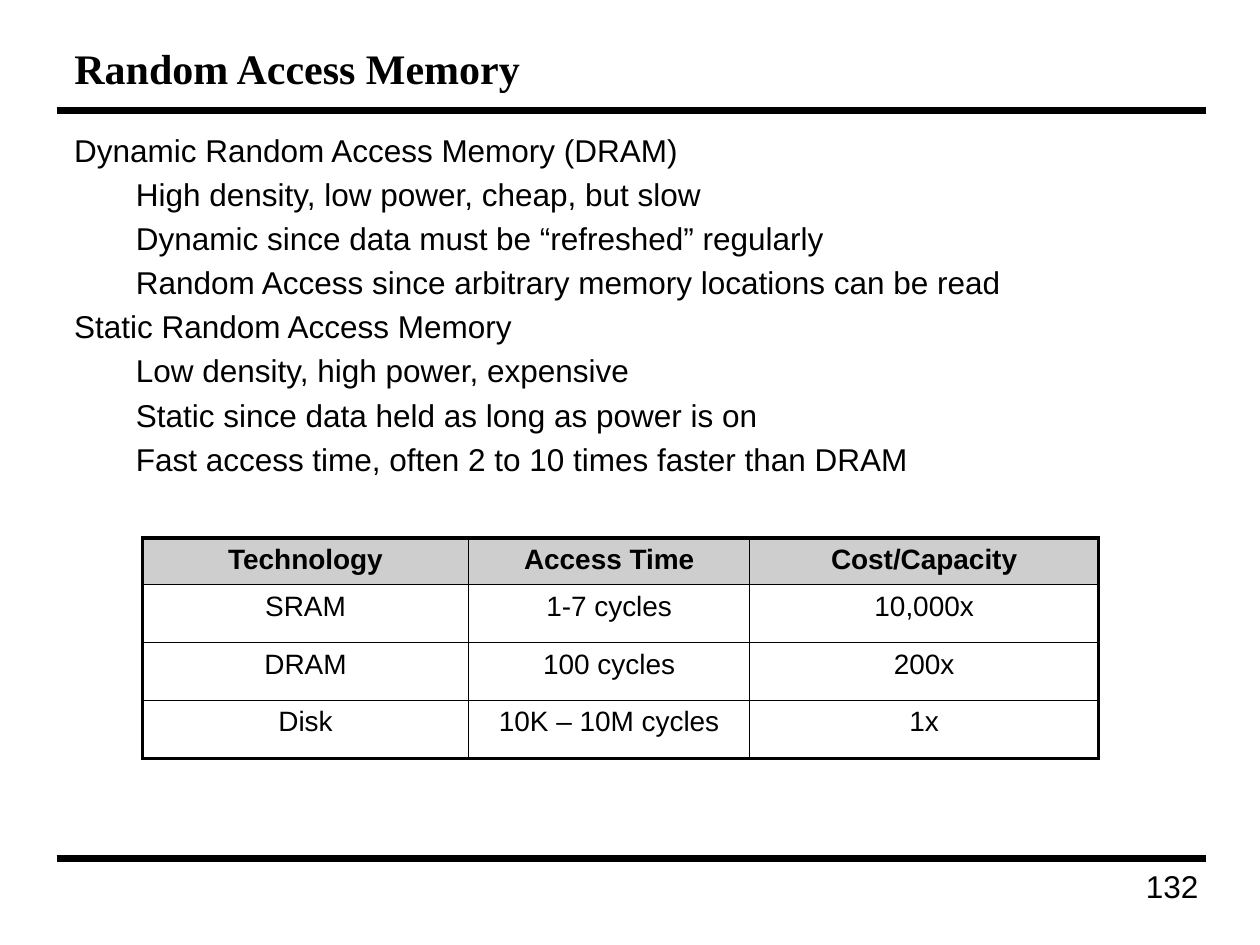
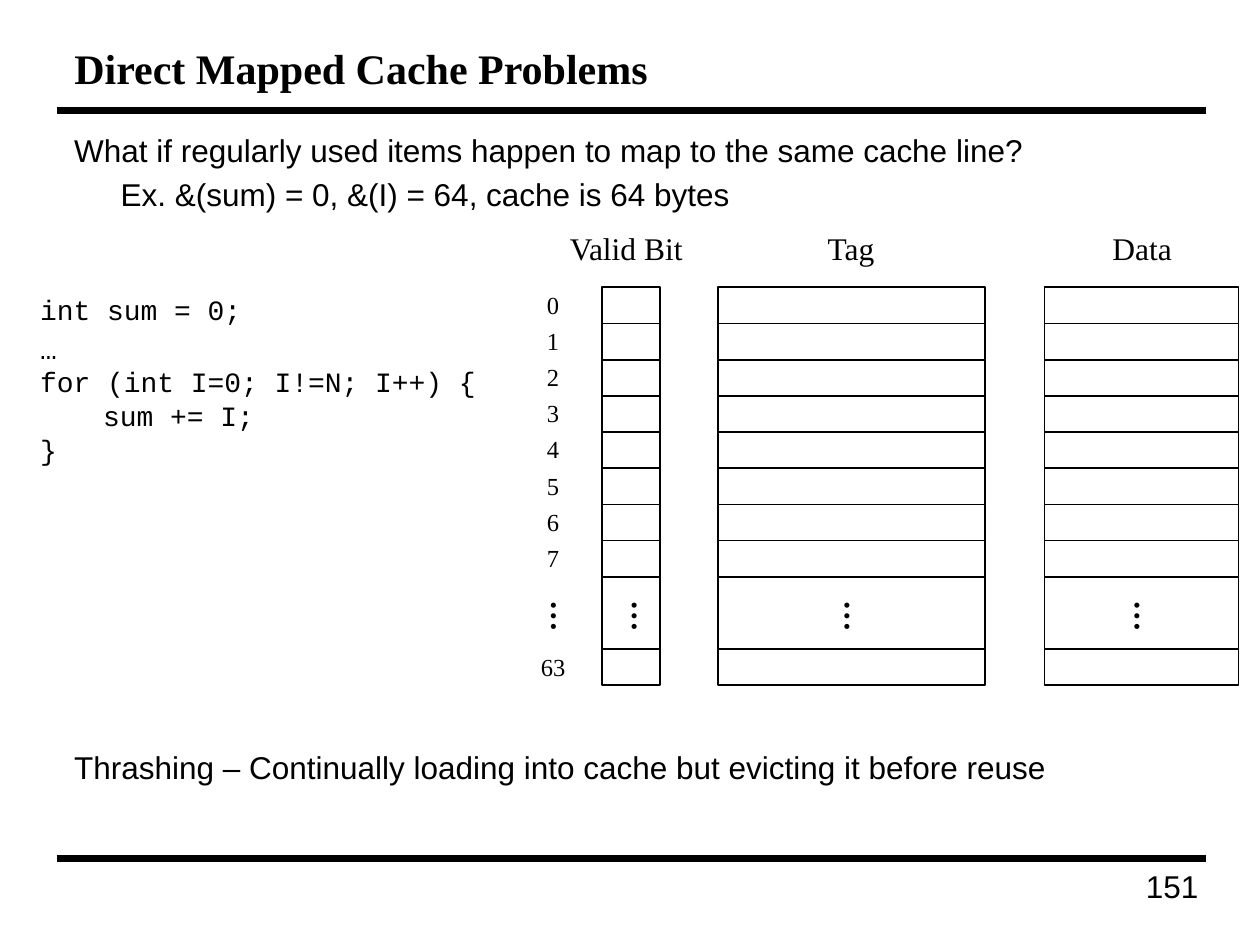
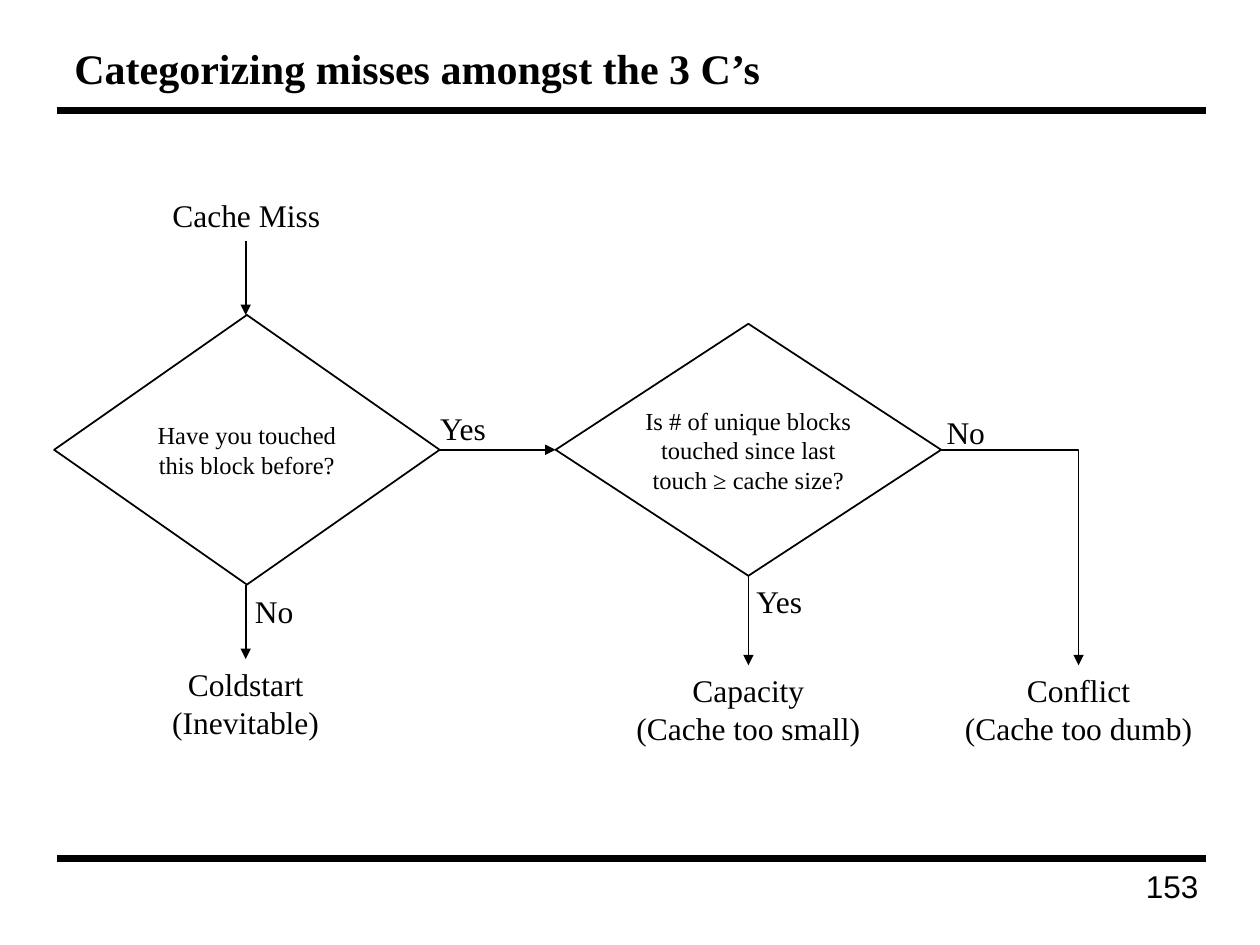
from pptx import Presentation
from pptx.dml.color import RGBColor
from pptx.enum.shapes import MSO_CONNECTOR, MSO_SHAPE
from pptx.enum.text import MSO_ANCHOR, MSO_AUTO_SIZE, PP_ALIGN
from pptx.oxml.ns import qn
from pptx.util import Inches, Pt
from lxml.etree import SubElement

rgb = RGBColor.from_string
BLACK, WHITE, GREY = "000000", "FFFFFF", "CECECE"
SANS, SERIF, MONO = "Arial", "Times New Roman", "Courier New"
LEFT, CENTER, RIGHT = PP_ALIGN.LEFT, PP_ALIGN.CENTER, PP_ALIGN.RIGHT


def write(tf, lines, size, name=SERIF, align=CENTER, bold=False, wrap=False, gap=0, indents=None, tab=None):
    tf.word_wrap = wrap
    for i, line in enumerate(lines):
        p = tf.paragraphs[0] if i == 0 else tf.add_paragraph()
        p.alignment = align
        pPr = p._p.get_or_add_pPr()
        if indents:
            pPr.set("marL", str(Inches(indents[i])))
        if gap and i:
            p.space_before = Pt(gap * size)
        if tab:
            SubElement(SubElement(pPr, qn("a:tabLst")), qn("a:tab"), pos=str(Inches(tab)), algn="l")
        for k, part in enumerate(line.split("\n")):
            if k:
                p.add_line_break()
            r = p.add_run()
            r.text = part
            for key, value in {"size": Pt(size), "name": name, "bold": bold}.items():
                setattr(r.font, key, value)
            r.font.color.rgb = rgb(BLACK)


def connect(s, x1, y1, x2, y2, width=1, arrow=False, kind=MSO_CONNECTOR.STRAIGHT):
    c = s.shapes.add_connector(kind, *map(Inches, (x1, y1, x2, y2)))
    c.line.width = Pt(width)
    c.line.color.rgb = rgb(BLACK)
    if arrow:
        SubElement(c.line._get_or_add_ln(), qn("a:tailEnd"), type="triangle")
    SubElement(c._element.spPr, qn("a:effectLst"))
    return c


prs = Presentation()
prs.slide_width, prs.slide_height = Inches(10), Inches(7.5)

slides = []
for title, number in [
    ("Random Access Memory", "132"),
    ("Direct Mapped Cache Problems", "151"),
    ("Categorizing misses amongst the 3 C’s", "153"),
]:
    s = prs.slides.add_slide(prs.slide_layouts[5])
    for y in (0.88, 6.81):
        connect(s, 0.45, y, 9.57, y, 4)
    sp = s.shapes.title
    for key, value in {"left": 0.49, "top": 0.25, "width": 9.04, "height": 0.58}.items():
        setattr(sp, key, Inches(value))
    tf = sp.text_frame
    tf.auto_size = MSO_AUTO_SIZE.NONE
    tf.vertical_anchor = MSO_ANCHOR.MIDDLE
    write(tf, [title], 24, align=LEFT, bold=True, wrap=True)
    sp = s.shapes.add_textbox(*map(Inches, (7.56, 6.83, 2.05, 0.49)))
    write(sp.text_frame, [number], 18, SANS, RIGHT, wrap=True)
    slides.append(s)
memory, cache, misses = slides

body = {
    "Dynamic Random Access Memory (DRAM)": 0,
    "High density, low power, cheap, but slow": 0.49,
    "Dynamic since data must be “refreshed” regularly": 0.49,
    "Random Access since arbitrary memory locations can be read": 0.49,
    "Static Random Access Memory": 0,
    "Low density, high power, expensive": 0.49,
    "Static since data held as long as power is on": 0.49,
    "Fast access time, often 2 to 10 times faster than DRAM": 0.49,
}
problem = {
    "What if regularly used items happen to map to the same cache line?": 0,
    "Ex. &(sum) = 0, &(I) = 64, cache is 64 bytes": 0.37,
}
thrashing = {"Thrashing – Continually loading into cache but evicting it before reuse": 0}
for s, y, h, lines in [(memory, 0.99, 3, body), (cache, 0.99, 0.8, problem), (cache, 5.89, 0.5, thrashing)]:
    sp = s.shapes.add_textbox(*map(Inches, (0.49, y, 9.04, h)))
    write(sp.text_frame, lines, 18, SANS, LEFT, wrap=True, gap=0.2, indents=list(lines.values()))

rows = [
    ("Technology", "Access Time", "Cost/Capacity"),
    ("SRAM", "1-7 cycles", "10,000x"),
    ("DRAM", "100 cycles", "200x"),
    ("Disk", "10K – 10M cycles", "1x"),
]
tbl = memory.shapes.add_table(4, 3, *map(Inches, (1.13, 4.27, 7.59, 1.75))).table
tbl.first_row = tbl.horz_banding = False
for col, width in zip(tbl.columns, (2.59, 2.23, 2.77)):
    col.width = Inches(width)
for i, row in enumerate(rows):
    tbl.rows[i].height = Inches(0.46 if i else 0.37)
    for j, value in enumerate(row):
        cell = tbl.cell(i, j)
        write(cell.text_frame, [value], 16, SANS, bold=i == 0, wrap=True)
        tcPr = cell._tc.get_or_add_tcPr()
        for side, outer in {"L": j == 0, "R": j == 2, "T": i == 0, "B": i == 3}.items():
            ln = SubElement(tcPr, qn("a:ln" + side), w=str(Pt(2.25 if outer else 1)))
            SubElement(SubElement(ln, qn("a:solidFill")), qn("a:srgbClr"), val=BLACK)
        if i == 0:
            cell.fill.solid()
            cell.fill.fore_color.rgb = rgb(GREY)
        else:
            cell.fill.background()

code = ["int sum = 0;", "…\nfor (int I=0; I!=N; I++) {\n\tsum += I;\n}"]
sp = cache.shapes.add_textbox(*map(Inches, (0.22, 2.27, 3.68, 1.49)))
write(sp.text_frame, code, 16, MONO, LEFT, gap=0.2, tab=0.5)

top, row_h = 2.28, 3.16 / 11
units = [*range(9), 10]
for unit, index in zip(units, [*"01234567", None, "63"]):
    y = top + unit * row_h
    if index:
        sp = cache.shapes.add_textbox(*map(Inches, (4.19, y - 0.03, 0.4, 0.33)))
        write(sp.text_frame, [index], 14)
    for x, w in [(4.78, 0.46), (5.7, 2.12), (8.29, 1.54)]:
        h = row_h if index else 2 * row_h
        sp = cache.shapes.add_shape(MSO_SHAPE.RECTANGLE, *map(Inches, (x, y, w, h)))
        sp.shadow.inherit = False
        sp.fill.solid()
        sp.fill.fore_color.rgb = rgb(WHITE)
        sp.line.color.rgb = rgb(BLACK)
        sp.line.width = Pt(1)
for x in (4.25, 4.89, 6.58, 8.88):
    sp = cache.shapes.add_textbox(*map(Inches, (x, 4.69, 0.45, 0.4)))
    sp.rotation = 90
    write(sp.text_frame, ["…"], 18, bold=True)
for heading, x, w in [("Valid Bit", 4.41, 1.12), ("Tag", 6.46, 0.59), ("Data", 8.73, 0.67)]:
    sp = cache.shapes.add_textbox(*map(Inches, (x, 1.77, w, 0.4)))
    write(sp.text_frame, [heading], 18)

mid = 3.57
for x, h, question in [
    (0.43, 2.14, ["Have you touched", "this block before?"]),
    (4.41, 2, ["Is # of unique blocks\ntouched since last\ntouch ≥ cache size?"]),
]:
    sp = misses.shapes.add_shape(MSO_SHAPE.FLOWCHART_DECISION, *map(Inches, (x, mid - h / 2, 3.06, h)))
    sp.shadow.inherit = False
    sp.fill.solid()
    sp.fill.fore_color.rgb = rgb(WHITE)
    sp.line.color.rgb = rgb(BLACK)
    sp.line.width = Pt(1)
    sp.text_frame.vertical_anchor = MSO_ANCHOR.MIDDLE
    write(sp.text_frame, question, 14)

for x1, y1, x2, y2 in [
    (1.95, 1.91, 1.95, 2.5),
    (1.95, 4.64, 1.95, 5.23),
    (3.49, mid, 4.41, mid),
    (5.94, 4.57, 5.94, 5.28),
]:
    connect(misses, x1, y1, x2, y2, arrow=True)
c = connect(misses, 7.47, mid, 8.56, 5.28, arrow=True, kind=MSO_CONNECTOR.ELBOW)
c._element.spPr.find(qn("a:prstGeom")).set("prst", "bentConnector2")

for x, y, w, lines in [
    (1.26, 1.51, 1.39, ["Cache Miss"]),
    (1.26, 5.23, 1.38, ["Coldstart", "(Inevitable)"]),
    (4.94, 5.28, 2, ["Capacity", "(Cache too small)"]),
    (7.55, 5.28, 2.02, ["Conflict", "(Cache too dumb)"]),
    (3.39, 3.2, 0.57, ["Yes"]),
    (1.92, 4.65, 0.51, ["No"]),
    (5.9, 4.57, 0.57, ["Yes"]),
    (7.41, 3.23, 0.51, ["No"]),
]:
    sp = misses.shapes.add_textbox(*map(Inches, (x, y, w, 0.1 + 0.3 * len(lines))))
    write(sp.text_frame, lines, 18)

prs.save("out.pptx")
